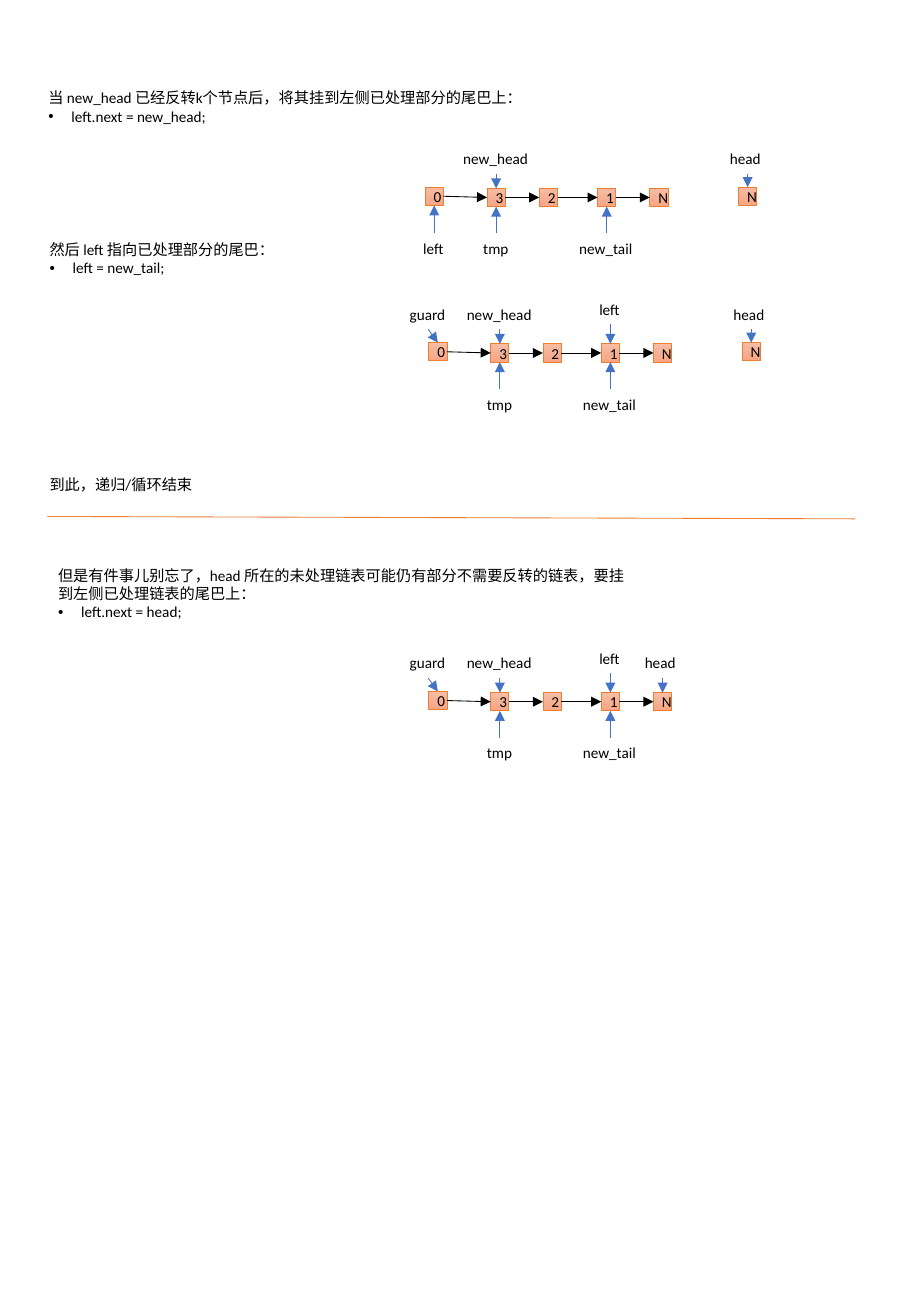
from copy import deepcopy
from dataclasses import dataclass

from lxml.etree import SubElement
from pptx import Presentation
from pptx.dml.color import RGBColor as RGB
from pptx.enum.shapes import MSO_CONNECTOR as CONNECTOR, MSO_SHAPE as SHAPE
from pptx.enum.text import MSO_ANCHOR as ANCHOR, MSO_AUTO_SIZE as AUTO_SIZE, PP_ALIGN as ALIGN
from pptx.oxml.ns import qn
from pptx.util import Inches, Pt


@dataclass(frozen=True)
class Theme:
    font: str = "Calibri"
    size: float = 9
    line_width: float = 0.5
    text: str = "000000"
    link: str = "000000"
    pointer: str = "4472C4"
    accent: str = "ED7D31"
    node_stops: tuple = ((0, "F7BDA5"), (0.5, "F5B196"), (1, "F8A582"))


THEME = Theme()
TOP, LEFT, BOTTOM, RIGHT = range(4)
NODE_SIZE = 0.15
LABEL_HEIGHT = 0.25
LABEL_WIDTHS = {"guard": 0.5, "left": 0.38, "new_head": 0.74,
                "new_tail": 0.65, "tmp": 0.41, "head": 0.49}
NODES = [("0", 0, 0), ("3", 0.51, 0.01), ("2", 0.94, 0.01),
         ("1", 1.42, 0.01), ("N", 1.85, 0.01), ("N", 2.58, 0)]
CHAIN_LENGTH = 5
ABOVE, HIGH_ABOVE, BELOW = -0.36, -0.4, 0.38

NOTES = [
    (0.3, 0.68, 4.54, 0.4, "当 new_head 已经反转k个节点后，将其挂到左侧已处理部分的尾巴上：",
     "left.next = new_head;"),
    (0.31, 1.93, 4.54, 0.4, "然后 left 指向已处理部分的尾巴：", "left = new_tail;"),
    (0.31, 3.86, 4.94, 0.25, "到此，递归/循环结束", None),
    (0.38, 4.61, 4.94, 0.56,
     "但是有件事儿别忘了，head 所在的未处理链表可能仍有部分不需要反转的链表，要挂到左侧已处理链表的尾巴上：",
     "left.next = head;"),
]

COMMON = [("new_head", 1, ABOVE, 0), ("tmp", 1, BELOW, 0), ("new_tail", 3, BELOW, 0)]
MOVED = COMMON + [("guard", 0, ABOVE, -0.08), ("left", 3, HIGH_ABOVE, 0)]
LISTS = [
    (3.5, 1.54, 6, COMMON + [("left", 0, BELOW, 0), ("head", 5, ABOVE, 0)]),
    (3.53, 2.82, 6, MOVED + [("head", 5, ABOVE, 0)]),
    (3.53, 5.69, 5, MOVED + [("head", 4, ABOVE, 0)]),
]


def apply(target, values):
    for name, value in values.items():
        setattr(target, name, value)


def write(p, text):
    r = p.add_run()
    r.text = text
    apply(r.font, {"name": THEME.font, "size": Pt(THEME.size)})
    r.font.color.rgb = RGB.from_string(THEME.text)


def add_bullet(p):
    pPr = p._p.get_or_add_pPr()
    pPr.set("marL", str(Inches(0.19)))
    pPr.set("indent", str(-Inches(0.19)))
    SubElement(pPr, qn("a:buFont")).set("typeface", "Arial")
    SubElement(pPr, qn("a:buChar")).set("char", "•")


def add_text(s, x, y, w, h, text, bullet=None, wrap=True):
    sp = s.shapes.add_textbox(Inches(x), Inches(y), Inches(w), Inches(h))
    tf = sp.text_frame
    apply(tf, {"word_wrap": wrap, "auto_size": AUTO_SIZE.SHAPE_TO_FIT_TEXT})
    write(tf.paragraphs[0], text)
    if bullet:
        p = tf.add_paragraph()
        add_bullet(p)
        write(p, bullet)
    return sp


def style_line(line, color):
    line.color.rgb = RGB.from_string(color)
    line.width = Pt(THEME.line_width)


def add_line(s, x1, y1, x2, y2, color):
    line = s.shapes.add_connector(CONNECTOR.STRAIGHT, Inches(x1), Inches(y1),
                                  Inches(x2), Inches(y2))
    style_line(line.line, color)
    SubElement(line._element.spPr, qn("a:effectLst"))
    return line


def add_arrow(s, start, start_side, end, end_side, color):
    arrow = add_line(s, 0, 0, 0, 0, color)
    arrow.begin_connect(start, start_side)
    arrow.end_connect(end, end_side)
    ln = arrow._element.spPr.find(qn("a:ln"))
    SubElement(ln, qn("a:tailEnd")).set("type", "triangle")


def fill_gradient(sp):
    sp.fill.gradient()
    sp.fill.gradient_angle = 270
    stop_list = sp._element.spPr.find(".//" + qn("a:gsLst"))
    stop_list.append(deepcopy(stop_list[-1]))
    for stop, (position, color) in zip(sp.fill.gradient_stops, THEME.node_stops):
        stop.position = position
        stop.color.rgb = RGB.from_string(color)


def add_node(s, x, y, text):
    sp = s.shapes.add_shape(SHAPE.RECTANGLE, Inches(x), Inches(y),
                            Inches(NODE_SIZE), Inches(NODE_SIZE))
    sp.shadow.inherit = False
    fill_gradient(sp)
    style_line(sp.line, THEME.accent)
    tf = sp.text_frame
    apply(tf, {"word_wrap": True, "vertical_anchor": ANCHOR.MIDDLE,
               "margin_left": Inches(0.08), "margin_right": Inches(0.08),
               "margin_top": Inches(0.04), "margin_bottom": Inches(0.04)})
    p = tf.paragraphs[0]
    p.alignment = ALIGN.CENTER
    write(p, text)
    return sp


def add_pointer(s, x, y, text, node, offset):
    width = LABEL_WIDTHS[text]
    label = add_text(s, x - width / 2, y + offset, width, LABEL_HEIGHT, text, wrap=False)
    sides = (BOTTOM, TOP) if offset < 0 else (TOP, BOTTOM)
    add_arrow(s, label, sides[0], node, sides[1], THEME.pointer)


def add_linked_list(s, x, y, count, pointers):
    nodes = [add_node(s, x + dx, y + dy, text) for text, dx, dy in NODES[:count]]
    chain = nodes[:CHAIN_LENGTH]
    for node, following in zip(chain, chain[1:]):
        add_arrow(s, node, RIGHT, following, LEFT, THEME.link)
    for text, index, offset, shift in pointers:
        center = x + NODES[index][1] + NODE_SIZE / 2 + shift
        add_pointer(s, center, y, text, nodes[index], offset)


def main():
    prs = Presentation()
    apply(prs, {"slide_width": Inches(7.5), "slide_height": Inches(10.83)})
    s = prs.slides.add_slide(prs.slide_layouts[6])
    for note in NOTES:
        add_text(s, *note)
    add_line(s, 0.39, 4.25, 7.04, 4.27, THEME.accent)
    for linked_list in LISTS:
        add_linked_list(s, *linked_list)
    prs.save("out.pptx")


if __name__ == "__main__":
    main()
